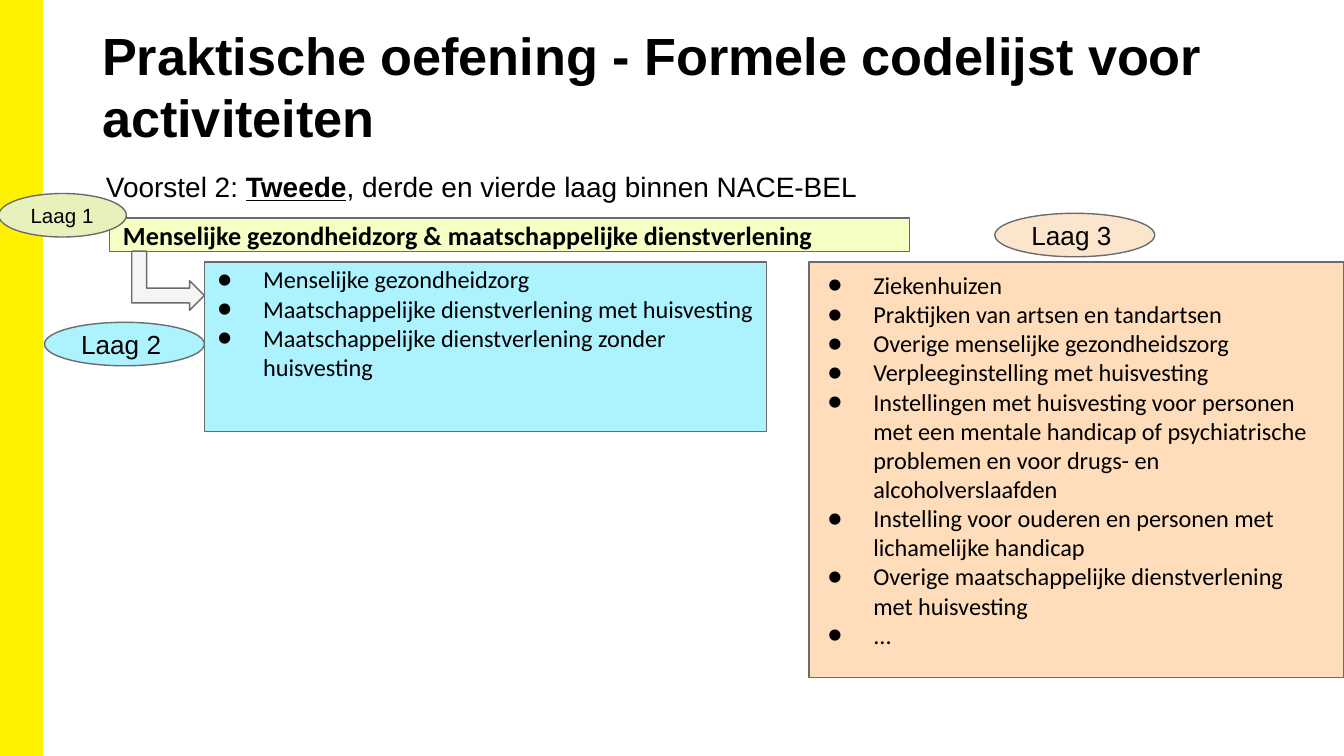
from pptx import Presentation
from pptx.dml.color import RGBColor
from pptx.enum.shapes import MSO_SHAPE as Kind
from pptx.enum.text import MSO_ANCHOR as Anchor, PP_ALIGN as Align
from pptx.oxml.ns import qn
from pptx.util import Pt
from lxml.etree import SubElement as Sub

BLACK = RGBColor(0x00, 0x00, 0x00)
GREY = RGBColor(0x6B, 0x6B, 0x6B)
YELLOW = RGBColor(0xFF, 0xF2, 0x00)
LIME = RGBColor(0xD4, 0xFF, 0x00)
PALE = RGBColor(0xF6, 0xF5, 0xF3)
CYAN = RGBColor(0x00, 0xD7, 0xFF)
GREEN = RGBColor(0xE8, 0xF1, 0xBC)
CREAM = RGBColor(0xFC, 0xE5, 0xCD)
ORANGE = RGBColor(0xFF, 0x82, 0x00)

deck = Presentation()
deck.slide_width, deck.slide_height = Pt(720), Pt(405)
slide = deck.slides.add_slide(deck.slide_layouts[6])
shapes = slide.shapes


def draw(kind, box, fill, alpha=100, line=GREY, width=0.75):
    shape = shapes.add_shape(kind, *[Pt(v) for v in box])
    shape.shadow.inherit = False
    shape.fill.solid()
    shape.fill.fore_color.rgb = fill
    shape.line.color.rgb = line
    shape.line.width = Pt(width)
    if alpha < 100:
        tint = shape.fill._xPr.find(qn("a:solidFill"))[0]
        Sub(tint, qn("a:alpha")).set("val", str(alpha * 1000))
    return shape


def write(shape, paras, size, font="Arial", bold=False, bullet=False,
          pad=(7.2, 7.2), anchor=Anchor.TOP, wrap=True):
    """Each paragraph is a list of (text, stressed) runs."""
    frame = shape.text_frame
    frame.word_wrap = wrap
    frame.vertical_anchor = anchor
    frame.margin_left = frame.margin_right = Pt(pad[0])
    frame.margin_top = frame.margin_bottom = Pt(pad[1])
    for i, runs in enumerate(paras):
        para = frame.add_paragraph() if i else frame.paragraphs[0]
        para.alignment = Align.LEFT
        if bullet:
            props = para._p.get_or_add_pPr()
            props.set("marL", str(Pt(36)))
            props.set("indent", str(-Pt(24.5)))
            Sub(props, qn("a:buFont")).set("typeface", font)
            Sub(props, qn("a:buChar")).set("char", "●")
        for text, stress in runs:
            run = para.add_run()
            run.text = text
            run.font.name, run.font.size = font, Pt(size)
            run.font.color.rgb = BLACK
            run.font.bold = bold or stress
            run.font.underline = stress


# Side bar
draw(Kind.RECTANGLE, (0, 0, 22.5, 405), YELLOW, line=YELLOW, width=1)

# Title and subtitle
title = shapes.add_textbox(Pt(49.7), Pt(9.4), Pt(620.6), Pt(106.6))
write(title, [[("Praktische oefening - Formele codelijst voor activiteiten", False)]],
      28, bold=True, pad=(5, 2.9))
intro = shapes.add_textbox(Pt(49.7), Pt(83.5), Pt(636.5), Pt(32.4))
write(intro, [[("Voorstel 2: ", False), ("Tweede", True),
               (", derde en vierde laag binnen NACE-BEL", False)]], 15)

# First layer band and arrow to the second layer
band = draw(Kind.RECTANGLE, (58.8, 116.7, 428.4, 18), LIME, 23)
write(band, [[("Menselijke gezondheidzorg & maatschappelijke dienstverlening", False)]],
      14, "Calibri", bold=True, anchor=Anchor.MIDDLE)
arrow = draw(Kind.BENT_UP_ARROW, (74.2, 131, 31.7, 38.9), PALE)
arrow.rotation = 90

# Lists of the second and third layers
second = ["Menselijke gezondheidzorg",
          "Maatschappelijke dienstverlening met huisvesting",
          "Maatschappelijke dienstverlening zonder huisvesting"]
third = ["Ziekenhuizen",
         "Praktijken van artsen en tandartsen",
         "Overige menselijke gezondheidszorg",
         "Verpleeginstelling met huisvesting",
         "Instellingen met huisvesting voor personen met een mentale handicap "
         "of psychiatrische problemen en voor drugs- en alcoholverslaafden",
         "Instelling voor ouderen en personen met lichamelijke handicap",
         "Overige maatschappelijke dienstverlening met huisvesting",
         "..."]
for box, area, fill, alpha, items in [
    ((109.5, 140.4, 301, 90.7), (97.9, 134.6, 313.5, 93.6), CYAN, 32, second),
    ((433.4, 140.4, 286.6, 222.5), (424.8, 137.5, 292.3, 219.6), ORANGE, 27, third),
]:
    draw(Kind.RECTANGLE, box, fill, alpha)
    text = shapes.add_textbox(*[Pt(v) for v in area])
    write(text, [[(item, False)] for item in items], 13, "Calibri", bullet=True)

# Layer labels
for name, box, fill, alpha, size in [
    ("Laag 1", (-0.7, 103.7, 68.4, 23.3), GREEN, 100, 11),
    ("Laag 2", (23.8, 172.7, 85.7, 23.3), CYAN, 32, 14),
    ("Laag 3", (532.9, 114.3, 85.7, 23.3), CREAM, 100, 14),
]:
    label = draw(Kind.OVAL, box, fill, alpha)
    write(label, [[(name, False)]], size, anchor=Anchor.MIDDLE, wrap=False)

deck.save("out.pptx")
